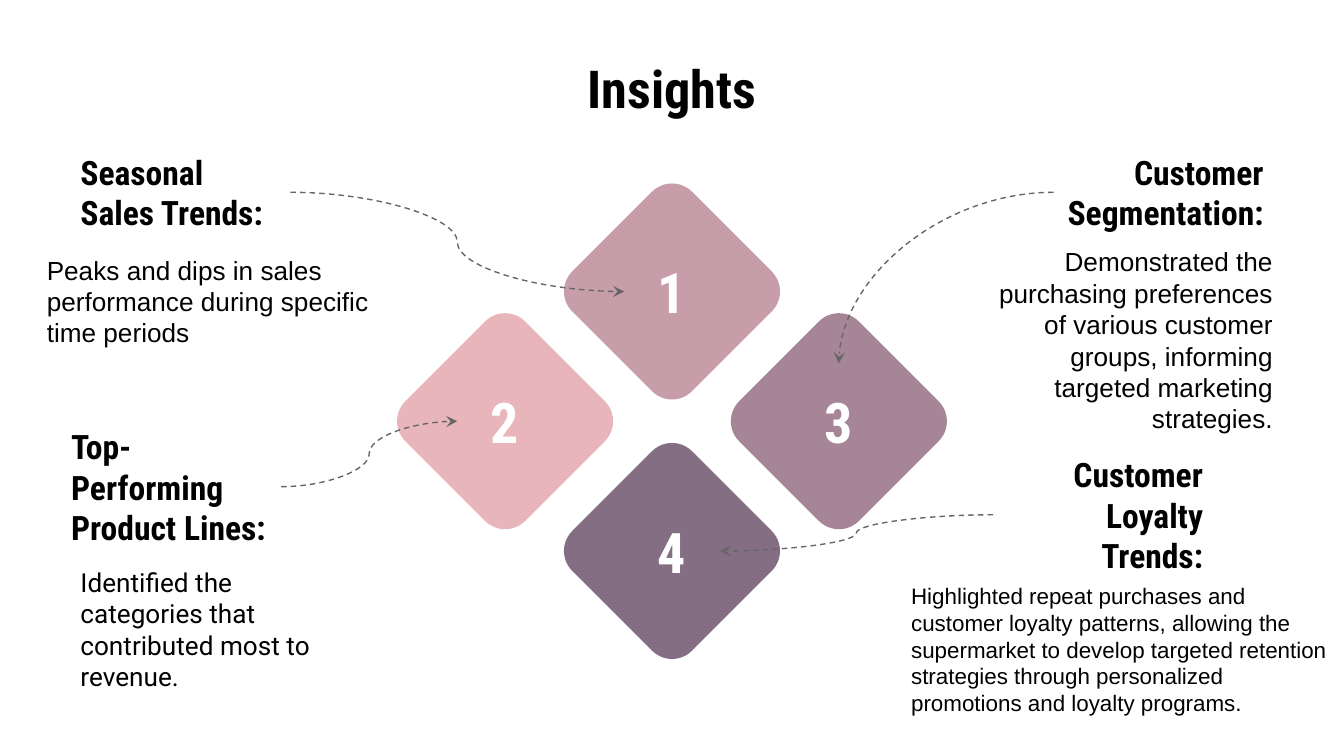
from dataclasses import dataclass

from lxml import etree
from pptx import Presentation
from pptx.dml.color import RGBColor
from pptx.enum.dml import MSO_LINE
from pptx.enum.shapes import MSO_CONNECTOR, MSO_SHAPE
from pptx.enum.text import MSO_ANCHOR, MSO_AUTO_SIZE, PP_ALIGN
from pptx.oxml.ns import qn
from pptx.util import Pt

LEFT, CENTER, RIGHT = PP_ALIGN.LEFT, PP_ALIGN.CENTER, PP_ALIGN.RIGHT
TOP, MIDDLE = MSO_ANCHOR.TOP, MSO_ANCHOR.MIDDLE
TITLE_ONLY = 5
COLORS = {
    "text": "000000", "number": "FFFFFF", "arrow": "666666",
    "rose": "C79DA9", "pink": "E8B5BB", "mauve": "A68596", "plum": "846E84",
}
DISPLAY, SANS, BODY = "Roboto Condensed", "Arial", "Roboto"
DIAMOND = 90.72
STEP_X, STEP_Y = 89.4, 69.5
NUMBER_W, NUMBER_H = 51.2, 62
HEADING_W, HEADING_H = 119.6, 21.6


@dataclass
class Insight:
    number: str
    fill: str
    column: int
    row: int
    heading: str
    heading_at: tuple
    body: str
    body_box: tuple
    body_font: str = SANS
    body_size: int = 14
    body_align: PP_ALIGN = LEFT
    body_anchor: MSO_ANCHOR = MIDDLE


INSIGHTS = [
    Insight("1", "rose", 0, -1, "Seasonal Sales Trends:", (36, 92.2),
            "Peaks and dips in sales performance during specific time periods",
            (18, 132.5, 196.6, 58.3), body_anchor=TOP),
    Insight("2", "pink", -1, 0, "Top-Performing Product Lines:", (31, 250),
            "Identified the categories that contributed most to revenue.",
            (36, 321.1, 162, 31.7), body_font=BODY),
    Insight("3", "mauve", 1, 0, "Customer Segmentation:", (564.5, 92.2),
            "Demonstrated the purchasing preferences of various customer "
            "groups, informing targeted marketing strategies.",
            (527, 166.3, 162, 31.7), body_align=RIGHT),
    Insight("4", "plum", 0, 1, "Customer Loyalty Trends:", (532, 265),
            "Highlighted repeat purchases and customer loyalty patterns, "
            "allowing the supermarket to develop targeted retention strategies "
            "through personalized promotions and loyalty programs.",
            (481, 308.2, 239, 80), body_size=12, body_anchor=TOP),
]


def place(shape, box):
    shape.left, shape.top, shape.width, shape.height = map(Pt, box)


def write(shape, text, size, font, color="text", bold=False, align=LEFT,
          anchor=MIDDLE):
    frame = shape.text_frame
    frame.text = text
    frame.word_wrap = True
    frame.auto_size = MSO_AUTO_SIZE.NONE
    frame.vertical_anchor = anchor
    frame.margin_left = frame.margin_right = Pt(7.2)
    frame.margin_top = frame.margin_bottom = Pt(3.6 if anchor == TOP else 7.2)
    para = frame.paragraphs[0]
    para.alignment = align
    span = para.runs[0].font
    span.size, span.name, span.bold = Pt(size), font, bold
    span.color.rgb = RGBColor.from_string(COLORS[color])


def add_text(page, box, *args, **style):
    write(page.shapes.add_textbox(*map(Pt, box)), *args, **style)


def add_title(page, box, text):
    place(page.shapes.title, box)
    write(page.shapes.title, text, 28, DISPLAY, bold=True, align=CENTER)


def diamond_center(insight, box):
    left, top, width, height = box
    return (left + width / 2 + insight.column * STEP_X,
            top + height / 2 + insight.row * STEP_Y)


def add_diamond(page, center, fill):
    x, y = center
    diamond = page.shapes.add_shape(
        MSO_SHAPE.ROUNDED_RECTANGLE, Pt(x - DIAMOND / 2), Pt(y - DIAMOND / 2),
        Pt(DIAMOND), Pt(DIAMOND))
    diamond.rotation = 45
    diamond.shadow.inherit = False
    diamond.fill.solid()
    diamond.fill.fore_color.rgb = RGBColor.from_string(COLORS[fill])
    diamond.line.fill.background()


def add_arrow(page, start, end, single_bend=False):
    arrow = page.shapes.add_connector(MSO_CONNECTOR.CURVE, *map(Pt, start + end))
    arrow.line.color.rgb = RGBColor.from_string(COLORS["arrow"])
    arrow.line.width = Pt(0.75)
    arrow.line.dash_style = MSO_LINE.DASH
    properties = arrow._element.spPr
    if single_bend:
        properties.find(qn("a:prstGeom")).set("prst", "curvedConnector2")
    etree.SubElement(properties.find(qn("a:ln")), qn("a:tailEnd"), type="stealth")
    etree.SubElement(properties, qn("a:effectLst"))


def add_callout(page, insight, center):
    """Add the number, heading, body and the arrow from heading to number."""
    x, y = center
    left, top = insight.heading_at
    on_right = left > x
    add_text(page, (x - NUMBER_W / 2, y - NUMBER_H / 2, NUMBER_W, NUMBER_H),
             insight.number, 30, DISPLAY, "number", bold=True, align=CENTER)
    add_text(page, (left, top, HEADING_W, HEADING_H), insight.heading, 18,
             DISPLAY, bold=True, align=RIGHT if on_right else LEFT)
    add_text(page, insight.body_box, insight.body, insight.body_size,
             insight.body_font, align=insight.body_align,
             anchor=insight.body_anchor)
    start = (left if on_right else left + HEADING_W, top + HEADING_H / 2)
    from_above = insight.column > 0
    if from_above:
        end = (x, y - NUMBER_H / 2)
    else:
        end = (x + NUMBER_W / 2 * (1 if on_right else -1), y)
    add_arrow(page, start, end, single_bend=from_above)


def add_insights(page, box):
    centers = [diamond_center(insight, box) for insight in INSIGHTS]
    for insight, center in zip(INSIGHTS, centers):
        add_diamond(page, center, insight.fill)
    for insight, center in zip(INSIGHTS, centers):
        add_callout(page, insight, center)


def main():
    deck = Presentation()
    deck.slide_width, deck.slide_height = Pt(720), Pt(405)
    page = deck.slides.add_slide(deck.slide_layouts[TITLE_ONLY])
    add_title(page, (36, 32.4, 648, 29.5), "Insights")
    add_insights(page, (212, 98, 296, 255.4))
    deck.save("out.pptx")


if __name__ == "__main__":
    main()
